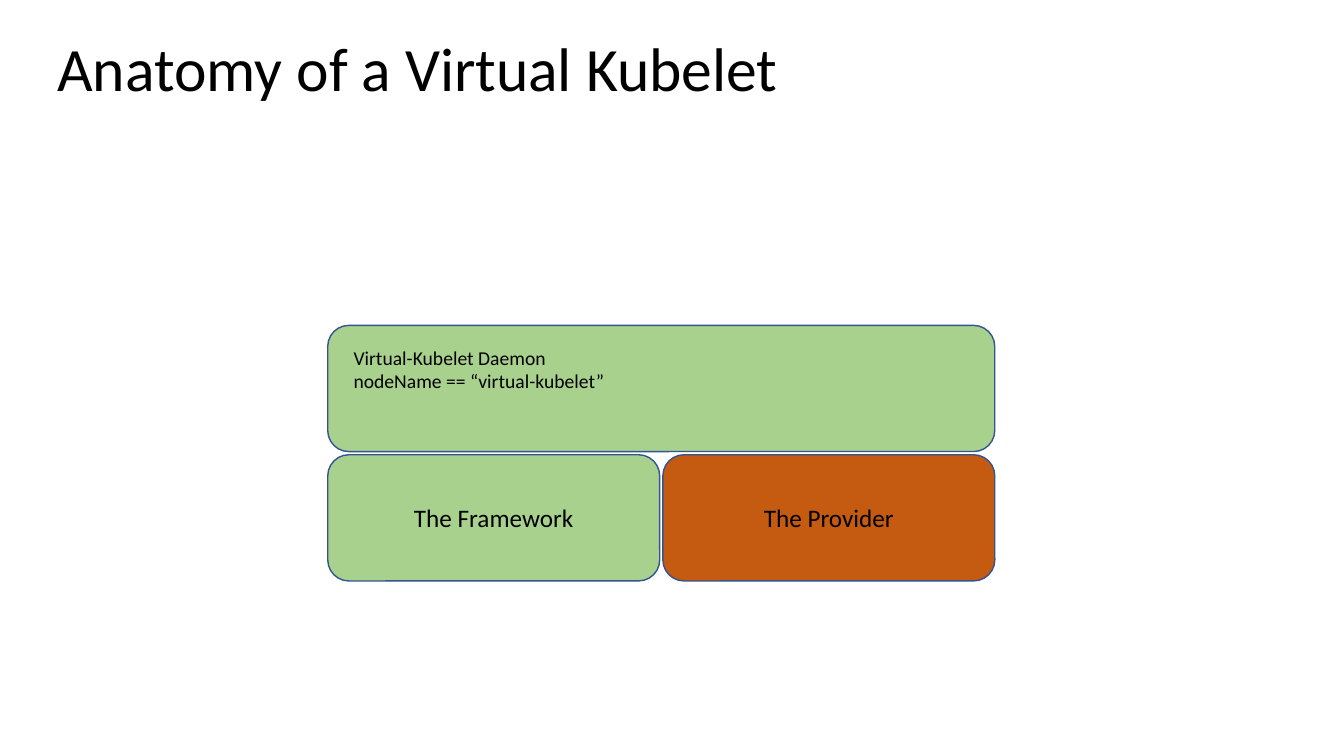
from dataclasses import dataclass

from pptx import Presentation
from pptx.dml.color import RGBColor
from pptx.enum.shapes import MSO_SHAPE
from pptx.enum.text import MSO_ANCHOR, PP_ALIGN
from pptx.text.text import TextFrame
from pptx.util import Cm, Pt

ROUND = MSO_SHAPE.ROUNDED_RECTANGLE
MIDDLE = MSO_ANCHOR.MIDDLE
LEFT, CENTER = PP_ALIGN.LEFT, PP_ALIGN.CENTER

COLORS = {"text": "000000", "green": "A9D18E", "orange": "C55A11", "line": "325491"}
FACE = "Calibri"

EDGE, TOP = 8.26, 8.2
WIDE, HIGH, GAP = 16.81, 3.18, 0.08
HALF = (WIDE - GAP) / 2
LOWER = TOP + HIGH + GAP


@dataclass
class Block:
    left: float
    top: float
    width: float
    fill: str
    label: str = ""


BLOCKS = [
    Block(EDGE, TOP, WIDE, "green"),
    Block(EDGE, LOWER, HALF, "green", "The Framework"),
    Block(EDGE + HALF + GAP, LOWER, HALF, "orange", "The Provider"),
]


def color(name: str) -> RGBColor:
    return RGBColor.from_string(COLORS[name])


def write(frame: TextFrame, text: str, size: int, align: PP_ALIGN) -> None:
    frame.word_wrap = True
    frame.text = text
    for line in frame.paragraphs:
        line.alignment = align
        line.font.name = FACE
        line.font.size = Pt(size)
        line.font.color.rgb = color("text")


def draw(slide, block: Block) -> None:
    shape = slide.shapes.add_shape(
        ROUND, Cm(block.left), Cm(block.top), Cm(block.width), Cm(HIGH)
    )
    shape.shadow.inherit = False
    shape.fill.solid()
    shape.fill.fore_color.rgb = color(block.fill)
    shape.line.color.rgb = color("line")
    shape.line.width = Pt(1)
    if block.label:
        shape.text_frame.vertical_anchor = MIDDLE
        write(shape.text_frame, block.label, 18, CENTER)


def main() -> None:
    deck = Presentation()
    deck.slide_width, deck.slide_height = Cm(33.87), Cm(19.05)
    slide = deck.slides.add_slide(deck.slide_layouts[5])

    title = slide.shapes.title
    title.left, title.top = Cm(1.19), Cm(-0.03)
    title.width, title.height = Cm(29.21), Cm(3.68)
    title.text_frame.vertical_anchor = MIDDLE
    write(title.text_frame, "Anatomy of a Virtual Kubelet", 44, LEFT)
    title.text_frame.paragraphs[0].line_spacing = 0.9

    for block in BLOCKS:
        draw(slide, block)

    note = slide.shapes.add_textbox(Cm(8.66), Cm(8.59), Cm(15.29), Cm(1.45))
    write(
        note.text_frame,
        "Virtual-Kubelet Daemon\nnodeName == “virtual-kubelet”",
        14,
        LEFT,
    )

    deck.save("out.pptx")


if __name__ == "__main__":
    main()
